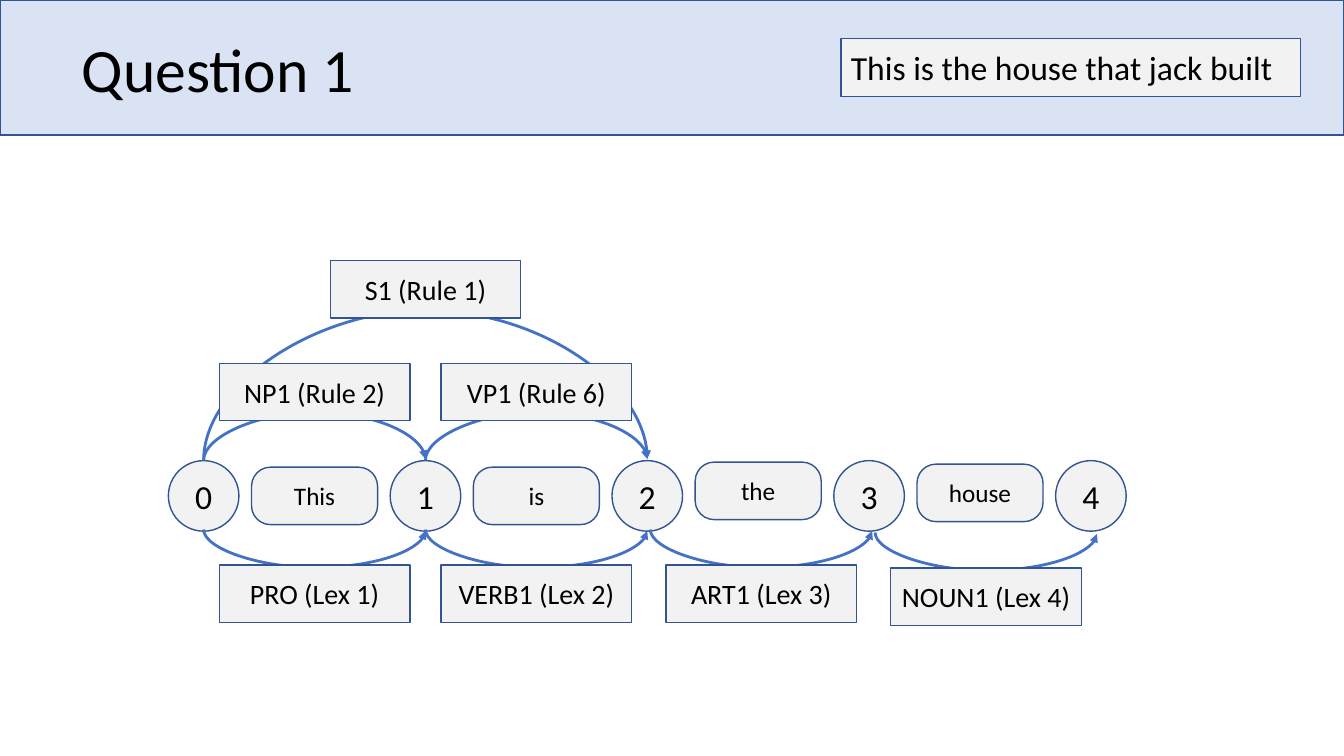
from dataclasses import dataclass

from lxml import etree
from pptx import Presentation
from pptx import util as u
from pptx.dml.color import RGBColor
from pptx.enum import shapes, text
from pptx.oxml import ns

WIDTH, HEIGHT = 13.33, 7.5
COLUMN = 2.2            # distance between chart positions
FIRST_X = 2.02          # centre of position 0
NODE_Y, NODE_SIZE = 4.92, 0.7
ARC_TOP, ARC_BOTTOM = 4.56, 5.26
LABEL_W, BOX_H, WORD_W = 1.89, 0.57, 1.25
ARC_DEPTH = 1 / 72      # unbent connector depth, one point
PALE, BANNER, EDGE, ARROW, INK = "F2F2F2", "DAE3F3", "325491", "4472C4", "000000"
KIND = shapes.MSO_SHAPE


@dataclass
class Word:
    """A word sitting between two positions of the chart."""
    name: str
    column: int
    y: float


@dataclass
class Edge:
    """A labelled arc from one chart position to a later one."""
    label: str
    start: int
    span: int
    box_y: float
    bulge: float        # positive bends upward, negative downward
    shift: float = 0
    drop: float = 0


WORDS = [Word("This", 0, 4.92), Word("is", 1, 4.92),
         Word("the", 2, 4.87), Word("house", 3, 4.89)]
EDGES = [
    Edge("S1 (Rule 1)", 0, 2, 2.87, 1.5),
    Edge("NP1 (Rule 2)", 0, 1, 3.89, 0.48),
    Edge("VP1 (Rule 6)", 1, 1, 3.89, 0.48),
    Edge("PRO (Lex 1)", 0, 1, 5.89, -0.38),
    Edge("VERB1 (Lex 2)", 1, 1, 5.89, -0.38),
    Edge("ART1 (Lex 3)", 2, 1, 5.89, -0.38, shift=0.03),
    Edge("NOUN1 (Lex 4)", 3, 1, 5.92, -0.38, shift=0.06, drop=0.03),
]


def colour(code: str) -> RGBColor:
    return RGBColor.from_string(code)


def column_x(column: float) -> float:
    return FIRST_X + COLUMN * column


def write(frame, words: str, size: float, align=text.PP_ALIGN.CENTER,
          spacing: float = 1.0) -> None:
    frame.word_wrap = True
    frame.vertical_anchor = text.MSO_ANCHOR.MIDDLE
    para = frame.paragraphs[0]
    para.alignment, para.line_spacing = align, spacing
    span = para.add_run()
    span.text = words
    span.font.name, span.font.size = "Calibri", u.Pt(size)
    span.font.color.rgb = colour(INK)


def add_box(page, kind, x: float, y: float, width: float, height: float,
            fill: str = PALE):
    """Add an outlined shape centred on x, y."""
    box = page.shapes.add_shape(kind, u.Inches(x - width / 2), u.Inches(y - height / 2),
                                u.Inches(width), u.Inches(height))
    box.shadow.inherit = False
    box.fill.solid()
    box.fill.fore_color.rgb = colour(fill)
    box.line.color.rgb = colour(EDGE)
    box.line.width = u.Pt(1)
    return box


def edge_x(edge: Edge) -> float:
    return column_x(edge.start + edge.span / 2) + edge.shift


def add_arc(page, edge: Edge) -> None:
    """Add a curved connector turned on its side so that it spans the columns."""
    upward = edge.bulge > 0
    x, y = edge_x(edge), (ARC_TOP if upward else ARC_BOTTOM) + edge.drop
    left, right = x - ARC_DEPTH / 2, x + ARC_DEPTH / 2
    top, bottom = y - edge.span * COLUMN / 2, y + edge.span * COLUMN / 2
    begin_y, end_y = (bottom, top) if upward else (top, bottom)
    arc = page.shapes.add_connector(shapes.MSO_CONNECTOR.CURVE, u.Inches(right),
                                    u.Inches(begin_y), u.Inches(left), u.Inches(end_y))
    arc.rotation = 90 if upward else 270
    arc.line.color.rgb = colour(ARROW)
    arc.line.width = u.Pt(2)

    # Bend, arrowhead and no shadow
    properties = arc.element.spPr
    guides = properties.find(ns.qn("a:prstGeom")).find(ns.qn("a:avLst"))
    bend = round(abs(edge.bulge) / ARC_DEPTH * 100000)
    etree.SubElement(guides, ns.qn("a:gd"), name="adj1", fmla=f"val {bend}")
    etree.SubElement(properties.find(ns.qn("a:ln")), ns.qn("a:tailEnd"), type="triangle")
    etree.SubElement(properties, ns.qn("a:effectLst"))


deck = Presentation()
deck.slide_width, deck.slide_height = u.Inches(WIDTH), u.Inches(HEIGHT)
page = deck.slides.add_slide(deck.slide_layouts[5])

# Banner, title and sentence
banner = add_box(page, KIND.RECTANGLE, WIDTH / 2, 0.67, WIDTH, 1.34, BANNER)
title = page.shapes.title
title.element.addprevious(banner.element)
title.left, title.top = u.Inches(0.71), u.Inches(-0.01)
title.width, title.height = u.Inches(11.5), u.Inches(1.45)
write(title.text_frame, "Question 1", 44, text.PP_ALIGN.LEFT, 0.9)
sentence = add_box(page, KIND.RECTANGLE, 10.62, 0.67, 4.56, BOX_H)
write(sentence.text_frame, "This is the house that jack built", 24, text.PP_ALIGN.LEFT)

# Chart positions
for position in range(len(WORDS) + 1):
    node = add_box(page, KIND.OVAL, column_x(position), NODE_Y, NODE_SIZE, NODE_SIZE)
    write(node.text_frame, str(position), 24)

# Words between positions
for word in WORDS:
    pill = add_box(page, KIND.ROUNDED_RECTANGLE, column_x(word.column + 0.5),
                   word.y, WORD_W, BOX_H)
    pill.adjustments[0] = 0.33
    write(pill.text_frame, word.name, 18)

# Arcs, then the labels that cover their crests
for edge in EDGES:
    add_arc(page, edge)
for edge in EDGES:
    label = add_box(page, KIND.RECTANGLE, edge_x(edge), edge.box_y, LABEL_W, BOX_H)
    write(label.text_frame, edge.label, 20)

deck.save("out.pptx")
